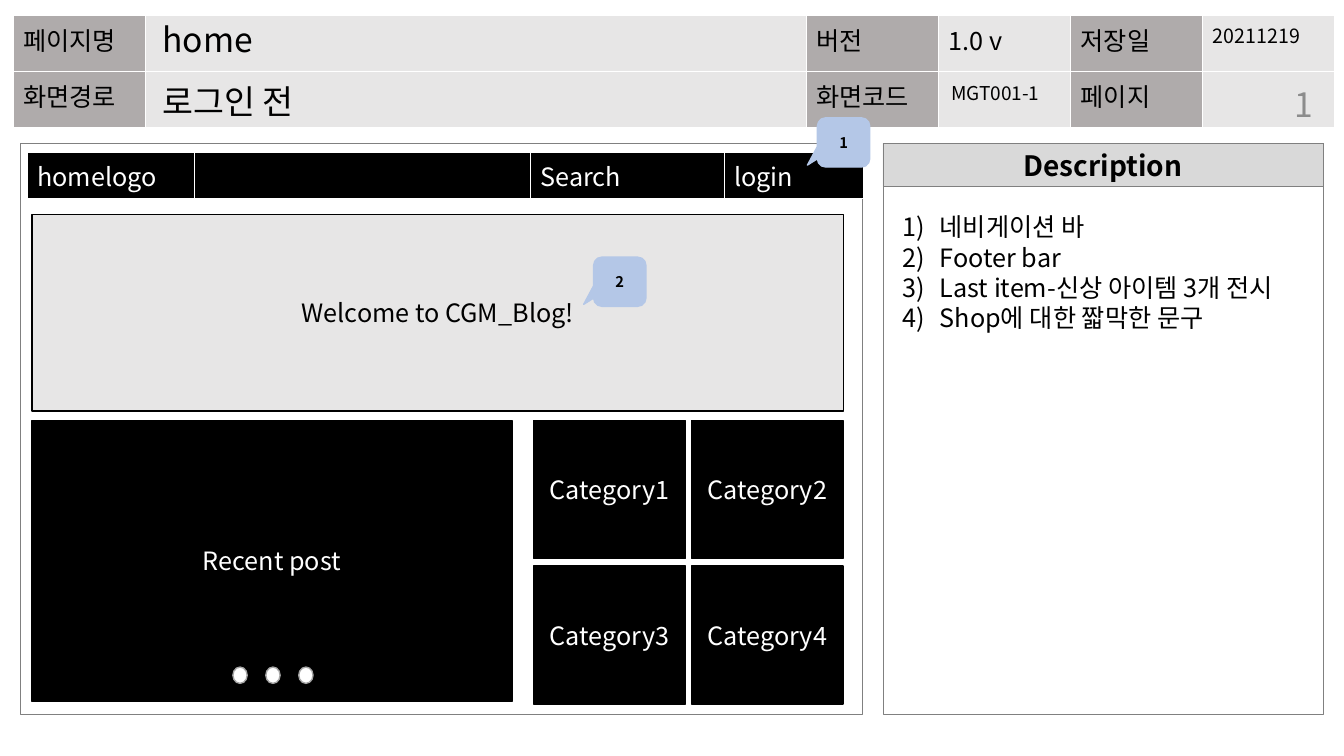
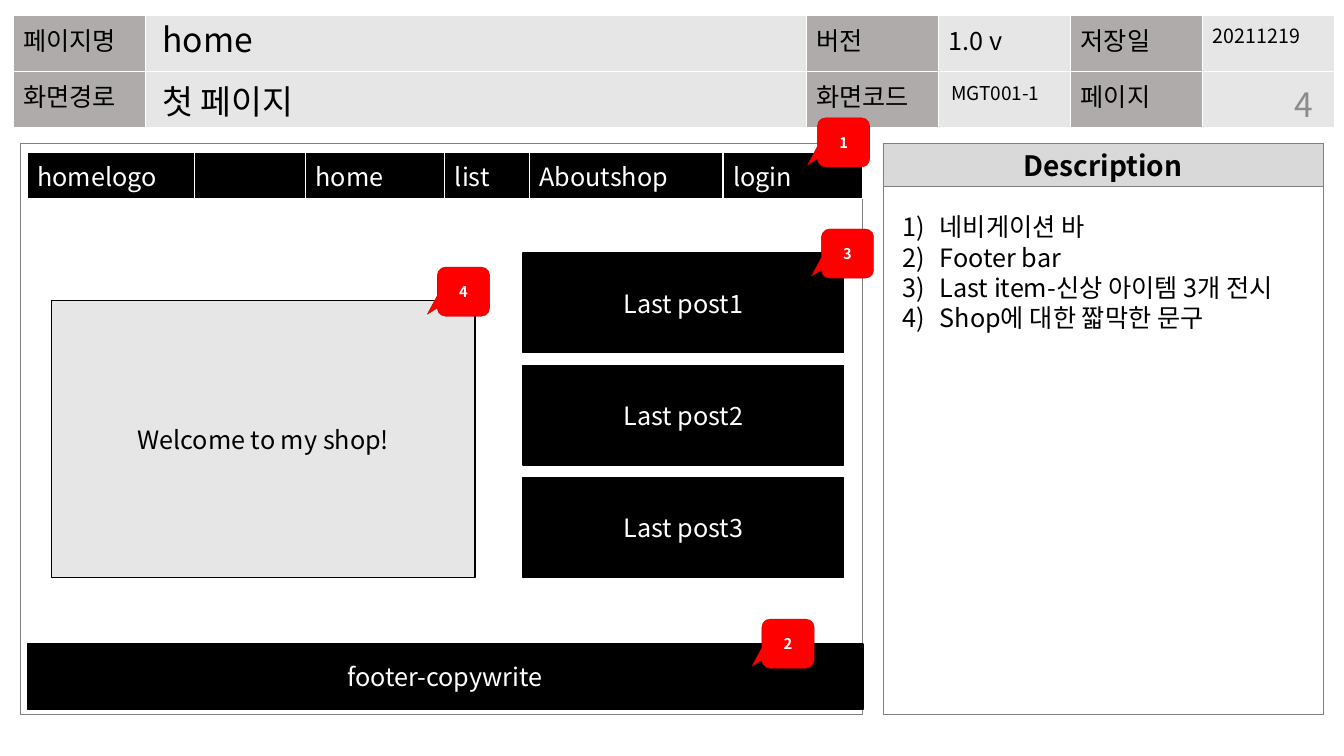
from lxml import etree
from pptx import Presentation
from pptx.dml.color import RGBColor
from pptx.enum.shapes import MSO_SHAPE
from pptx.enum.text import MSO_ANCHOR, MSO_AUTO_SIZE, PP_ALIGN
from pptx.oxml.ns import qn
from pptx.util import Cm, Pt

RECT = MSO_SHAPE.RECTANGLE
OVAL = MSO_SHAPE.OVAL
CALLOUT = MSO_SHAPE.ROUNDED_RECTANGULAR_CALLOUT
TOP, MIDDLE = MSO_ANCHOR.TOP, MSO_ANCHOR.MIDDLE
LEFT, CENTER, RIGHT = PP_ALIGN.LEFT, PP_ALIGN.CENTER, PP_ALIGN.RIGHT
FIXED_SIZE = MSO_AUTO_SIZE.NONE

FONT = "Noto Sans CJK KR"
BLACK, WHITE = "000000", "FFFFFF"
LABEL_GREY, VALUE_GREY = "AFABAB", "E7E6E6"
HEADING_GREY, PANEL_LINE = "D9D9D9", "808080"
PAGE_GREY, DOT_LINE = "8C8C8C", "A5A5A5"
BLUE_MARK = {"fill": "B4C7E7", "line": "B4C7E7", "weight": 1, "color": BLACK}
RED_MARK = {"fill": "FF0000", "line": "C00000", "weight": 0.25, "color": WHITE}

HEADER_COLUMNS = [3.33, 16.66, 3.33, 3.33, 3.33, 3.33]
HEADER_ROWS = [
    ["페이지명", "", "버전", "1.0 v", "저장일", "20211219"],
    ["화면경로", "", "화면코드", "", "페이지", ""],
]
DESCRIPTION = [
    "네비게이션 바",
    "Footer bar",
    "Last item-신상 아이템 3개 전시",
    "Shop에 대한 짧막한 문구",
]
PANEL_TOP = 3.61
DESCRIPTION_LEFT, DESCRIPTION_WIDTH = 22.25, 11.1
NAV_LEFT, NAV_TOP, NAV_HEIGHT = 0.69, 3.84, 1.17
NAV_MARK = (20.6, 2.97)


def rgb(value):
    return RGBColor.from_string(value)


def apply_format(target, values):
    for name, value in values.items():
        setattr(target, name, value)


def write(frame, lines, size=18, color=BLACK, bold=False, **paragraph_format):
    frame.text = "\n".join(lines)
    for paragraph in frame.paragraphs:
        apply_format(paragraph, paragraph_format)
        for run in paragraph.runs:
            apply_format(run.font, {"name": FONT, "size": Pt(size), "bold": bold})
            run.font.color.rgb = rgb(color)
            etree.SubElement(run.font._element, qn("a:ea"), typeface=FONT)


def add_box(slide, kind, box, fill=None, line=BLACK, weight=1, text="", **text_format):
    shape = slide.shapes.add_shape(kind, *map(Cm, box))
    shape.shadow.inherit = False
    if fill:
        shape.fill.solid()
        shape.fill.fore_color.rgb = rgb(fill)
    else:
        shape.fill.background()
    shape.line.color.rgb = rgb(line)
    shape.line.width = Pt(weight)
    if text:
        shape.text_frame.vertical_anchor = MIDDLE
        write(shape.text_frame, [text], alignment=CENTER, **text_format)
    return shape


def add_block(slide, box, text):
    add_box(slide, RECT, box, BLACK, text=text, color=WHITE)


def add_banner(slide, box, text):
    add_box(slide, RECT, box, VALUE_GREY, text=text)


def add_mark(slide, position, number, style):
    mark = add_box(slide, CALLOUT, (*position, 1.32, 1.24),
                   text=number, size=10.5, bold=True, **style)
    for index, value in enumerate((-0.69, 0.46, 0.17)):
        mark.adjustments[index] = value
    sides = ("margin_left", "margin_top", "margin_right", "margin_bottom")
    apply_format(mark.text_frame, dict.fromkeys(sides, 0))


def fill_cell(cell, fill, text, **text_format):
    cell.fill.solid()
    cell.fill.fore_color.rgb = rgb(fill)
    properties = cell._tc.get_or_add_tcPr()
    for index, side in enumerate(("a:lnL", "a:lnR", "a:lnT", "a:lnB")):
        border = etree.Element(qn(side), w=str(Pt(1)))
        solid = etree.SubElement(border, qn("a:solidFill"))
        etree.SubElement(solid, qn("a:srgbClr"), val=WHITE)
        properties.insert(index, border)
    write(cell.text_frame, [text], **text_format)


def add_grid(slide, left, top, widths, row_height, row_count):
    table = slide.shapes.add_table(
        row_count, len(widths), Cm(left), Cm(top),
        Cm(sum(widths)), Cm(row_height * row_count)).table
    apply_format(table, {"first_row": False, "horz_banding": False})
    for column, width in zip(table.columns, widths):
        column.width = Cm(width)
    return table


def add_header(slide):
    table = add_grid(slide, 0.33, 0.4, HEADER_COLUMNS, 1.41, len(HEADER_ROWS))
    for row, texts in enumerate(HEADER_ROWS):
        for column, text in enumerate(texts):
            fill = VALUE_GREY if column % 2 else LABEL_GREY
            size = 14 if column == 5 else 18
            fill_cell(table.cell(row, column), fill, text, size=size)


def add_navigation(slide, items):
    widths = [width for _, width in items]
    table = add_grid(slide, NAV_LEFT, NAV_TOP, widths, NAV_HEIGHT, 1)
    for column, (text, _) in enumerate(items):
        fill_cell(table.cell(0, column), BLACK, text, color=WHITE)


def add_panels(slide):
    add_box(slide, RECT, (DESCRIPTION_LEFT, PANEL_TOP, DESCRIPTION_WIDTH, 1.09),
            HEADING_GREY, PANEL_LINE, 0.25, "Description", size=20, bold=True)
    for left, width in ((0.51, 21.23), (DESCRIPTION_LEFT, DESCRIPTION_WIDTH)):
        add_box(slide, RECT, (left, PANEL_TOP, width, 14.4),
                line=PANEL_LINE, weight=0.25)


def fill_placeholder(placeholder, box, lines, **text_format):
    slide_tree = placeholder._element.getparent()
    slide_tree.append(placeholder._element)
    lengths = zip(("left", "top", "width", "height"), map(Cm, box))
    apply_format(placeholder, dict(lengths))
    apply_format(placeholder.text_frame, {
        "vertical_anchor": TOP, "word_wrap": True, "auto_size": FIXED_SIZE})
    write(placeholder.text_frame, lines, alignment=LEFT, **text_format)


def number_list(frame):
    for paragraph in frame.paragraphs:
        properties = paragraph._p.get_or_add_pPr()
        apply_format(properties, {})
        properties.set("marL", str(Cm(0.95)))
        properties.set("indent", str(-Cm(0.95)))
        etree.SubElement(properties, qn("a:buFont"), typeface=FONT)
        etree.SubElement(properties, qn("a:buAutoNum"), type="arabicParenR")


def add_page_number(slide, number):
    page = slide.shapes.add_textbox(Cm(30.33), Cm(1.98), Cm(3), Cm(1.27))
    apply_format(page.text_frame, {"word_wrap": True, "vertical_anchor": MIDDLE})
    write(page.text_frame, [number], size=24, color=PAGE_GREY, alignment=RIGHT)


def add_screen(deck, screen_route, page_number):
    slide = deck.slides.add_slide(deck.slide_layouts.get_by_name("Comparison"))
    page_name, route, description, code, spare = slide.placeholders
    spare._element.getparent().remove(spare._element)
    add_header(slide)
    add_panels(slide)
    heading = {"size": 24, "line_spacing": 0.9, "space_before": Pt(10)}
    fill_placeholder(page_name, (3.84, 0.46, 12.47, 1.3), ["home"], **heading)
    fill_placeholder(route, (3.84, 2.03, 16.31, 1.3), [screen_route], **heading)
    fill_placeholder(code, (23.72, 2.03, 3, 1.09), ["MGT001-1"],
                     size=13.6, line_spacing=0.8, space_before=Pt(10))
    fill_placeholder(description, (22.48, 5.21, 10.64, 4.11), DESCRIPTION,
                     space_before=Pt(0))
    number_list(description.text_frame)
    add_page_number(slide, page_number)
    return slide


def add_blog_home(deck):
    slide = add_screen(deck, "로그인 전", "1")
    add_block(slide, (0.81, 10.59, 12.09, 7.09), "Recent post")
    add_banner(slide, (0.81, 5.41, 20.45, 4.95), "Welcome to CGM_Blog!")
    add_navigation(slide, [("homelogo", 4.22), ("", 8.46),
                           ("Search", 4.88), ("login", 3.51)])
    for dot in range(3):
        add_box(slide, OVAL, (5.87 + 0.83 * dot, 16.81, 0.36, 0.41),
                WHITE, DOT_LINE)
    for index in range(4):
        row, column = divmod(index, 2)
        add_block(slide, (13.45 + 3.98 * column, 10.59 + 3.67 * row, 3.82, 3.48),
                  f"Category{index + 1}")
    for number, position in (("1", NAV_MARK), ("2", (14.96, 6.48))):
        add_mark(slide, position, number, BLUE_MARK)


def add_shop_home(deck):
    slide = add_screen(deck, "첫 페이지", "4")
    for index in range(3):
        add_block(slide, (13.18, 6.38 + 2.83 * index, 8.08, 2.51),
                  f"Last post{index + 1}")
    add_block(slide, (NAV_LEFT, 16.23, 21.06, 1.65), "footer-copywrite")
    add_banner(slide, (1.3, 7.57, 10.67, 6.99), "Welcome to my shop!")
    add_navigation(slide, [("homelogo", 4.22), ("", 2.79), ("home", 3.51),
                           ("list", 2.13), ("Aboutshop", 4.88), ("login", 3.51)])
    marks = (("4", (11.02, 6.73)), ("3", (20.7, 5.77)),
             ("2", (19.2, 15.6)), ("1", NAV_MARK))
    for number, position in marks:
        add_mark(slide, position, number, RED_MARK)


def main():
    deck = Presentation()
    apply_format(deck, {"slide_width": Cm(33.87), "slide_height": Cm(19.05)})
    add_blog_home(deck)
    add_shop_home(deck)
    deck.save("out.pptx")


if __name__ == "__main__":
    main()
